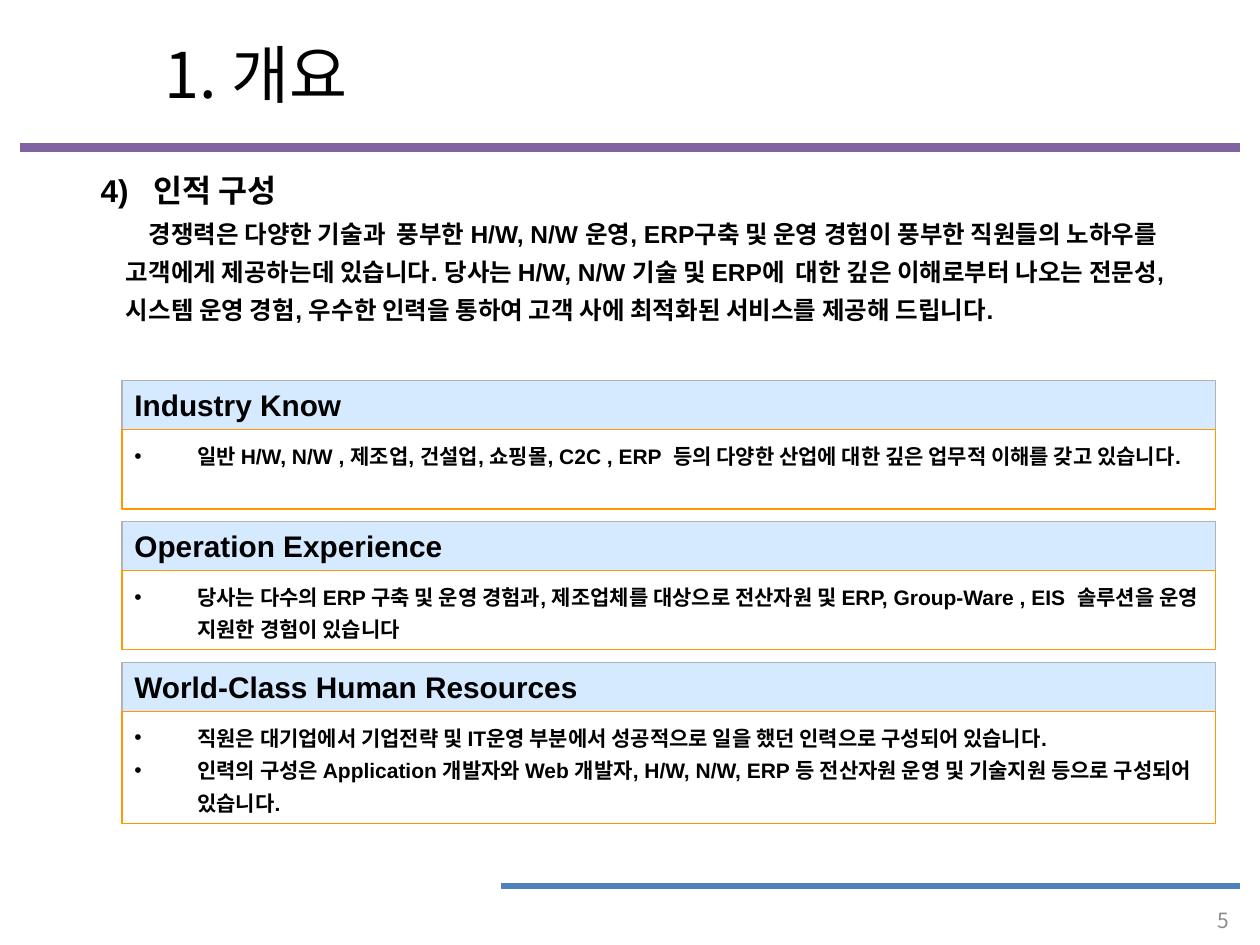
from lxml import etree
from pptx import Presentation
from pptx.dml.color import RGBColor as Rgb
from pptx.enum.shapes import MSO_CONNECTOR as Link, MSO_SHAPE as Kind
from pptx.enum.text import MSO_ANCHOR as Anchor, MSO_AUTO_SIZE as Fit, PP_ALIGN as Align
from pptx.oxml.ns import qn
from pptx.util import Cm, Pt

KOREAN = "Noto Sans CJK KR"
COLORS = {
    "text": "000000", "number": "8C8C8C", "purple": "8064A2", "blue": "4F81BD",
    "head": "D5EAFF", "gray": "B2B2B2", "body": "FFFFFF", "orange": "FF9900",
}
INTRO = (
    "경쟁력은 다양한 기술과  풍부한 H/W, N/W 운영, ERP구축 및 운영 경험이 풍부한 "
    "직원들의 노하우를 고객에게 제공하는데 있습니다. 당사는 H/W, N/W 기술 및 ERP에  "
    "대한 깊은 이해로부터 나오는 전문성, 시스템 운영 경험, 우수한 인력을 통하여 "
    "고객 사에 최적화된 서비스를 제공해 드립니다."
)
PANELS = [
    ("Industry Know", 1.6, [
        "일반 H/W, N/W , 제조업, 건설업, 쇼핑몰, C2C , ERP  등의 다양한 산업에 대한 "
        "깊은 업무적 이해를 갖고 있습니다."]),
    ("Operation Experience", 1.6, [
        "당사는 다수의 ERP 구축 및 운영 경험과, 제조업체를 대상으로 전산자원 및 ERP, "
        "Group-Ware , EIS  솔루션을 운영 지원한 경험이 있습니다"]),
    ("World-Class Human Resources", 2.26, [
        "직원은 대기업에서 기업전략 및 IT운영 부분에서 성공적으로 일을 했던 인력으로 "
        "구성되어 있습니다.",
        "인력의 구성은 Application 개발자와 Web 개발자, H/W, N/W, ERP 등 전산자원 운영 및 "
        "기술지원 등으로 구성되어 있습니다."]),
]
HEAD_H, GAP = 0.99, 0.25


def color(name):
    return Rgb.from_string(COLORS[name])


def style(frame, size, face="Arial", bold=True, tint="text", align=Align.LEFT):
    frame.word_wrap = True
    for para in frame.paragraphs:
        para.alignment = align
        for run in para.runs:
            font = run.font
            font.size, font.bold, font.name = Pt(size), bold, face
            font.color.rgb = color(tint)
            etree.SubElement(font._element, qn("a:ea"), typeface=KOREAN)


def indent(para, left, first, bullet=None):
    props = para._p.get_or_add_pPr()
    props.set("marL", str(Cm(left)))
    props.set("indent", str(Cm(first)))
    if bullet:
        etree.SubElement(props, qn("a:buFont"), typeface="Arial")
        etree.SubElement(props, qn("a:buChar"), char=bullet)


def add_text(slide, box, text):
    frame = slide.shapes.add_textbox(*map(Cm, box)).text_frame
    frame.text = text
    return frame


def add_rule(slide, left, right, y, tint, width):
    rule = slide.shapes.add_connector(Link.STRAIGHT, Cm(left), Cm(y), Cm(right), Cm(y))
    rule.line.color.rgb = color(tint)
    rule.line.width = Pt(width)
    etree.SubElement(rule._element.spPr, qn("a:effectLst"))


def add_box(slide, box, fill, edge, lines):
    shape = slide.shapes.add_shape(Kind.RECTANGLE, *map(Cm, box))
    shape.shadow.inherit = False
    shape.fill.solid()
    shape.fill.fore_color.rgb = color(fill)
    shape.line.color.rgb = color(edge)
    shape.line.width = Pt(0.75)
    frame = shape.text_frame
    frame.text = "\n".join(lines)
    frame.vertical_anchor = Anchor.TOP
    frame.auto_size = Fit.SHAPE_TO_FIT_TEXT
    return frame


def add_title(slide, box):
    title = slide.shapes.title
    title.left, title.top, title.width, title.height = map(Cm, box)
    frame = title.text_frame
    frame.text = "1. 개요"
    frame.vertical_anchor = Anchor.MIDDLE
    style(frame, 36, KOREAN, bold=False, align=Align.CENTER)


def add_intro(slide, left, top):
    head = add_text(slide, (left, top, 6.53, 1.02), "4)\t인적 구성")
    indent(head.paragraphs[0], 1.07, -1.07)
    style(head, 18)
    body = add_text(slide, (left + 0.53, top + 0.78, 22.38, 3.58), INTRO)
    body.margin_left = body.margin_right = Cm(0.23)
    para = body.paragraphs[0]
    para.line_spacing = 1.3
    indent(para, 0, 0.46)
    style(body, 14)


def add_panel(slide, left, top, width, height, head, items):
    """Draw a heading bar with a bulleted box of the given height below it."""
    bar = add_box(slide, (left, top, width, HEAD_H), "head", "gray", [head])
    style(bar, 17)
    body = add_box(slide, (left, top + HEAD_H, width, height), "body", "orange", items)
    for para in body.paragraphs:
        para.line_spacing = 1.3
        indent(para, 1.27, -1.27, "•")
    style(body, 12)


def add_panels(slide, left, top, width):
    for head, height, items in PANELS:
        add_panel(slide, left, top, width, height, head, items)
        top += HEAD_H + height + GAP


def add_footer(slide, right, top):
    add_rule(slide, right - 14.88, right, top, "blue", 3)
    frame = add_text(slide, (right - 0.99, top + 0.4, 1.02, 0.56), "5")
    frame.vertical_anchor = Anchor.MIDDLE
    style(frame, 12, KOREAN, bold=False, tint="number", align=Align.RIGHT)


def main():
    deck = Presentation()
    deck.slide_width, deck.slide_height = Cm(25.4), Cm(19.05)
    slide = deck.slides.add_slide(deck.slide_layouts[5])
    add_rule(slide, 0.41, 24.99, 2.97, "purple", 5)
    add_title(slide, (0.79, 0.58, 8.74, 1.78))
    add_intro(slide, 1.78, 3.33)
    add_panels(slide, 2.46, 7.67, 22.05)
    add_footer(slide, 24.99, 17.86)
    deck.save("out.pptx")


if __name__ == "__main__":
    main()
